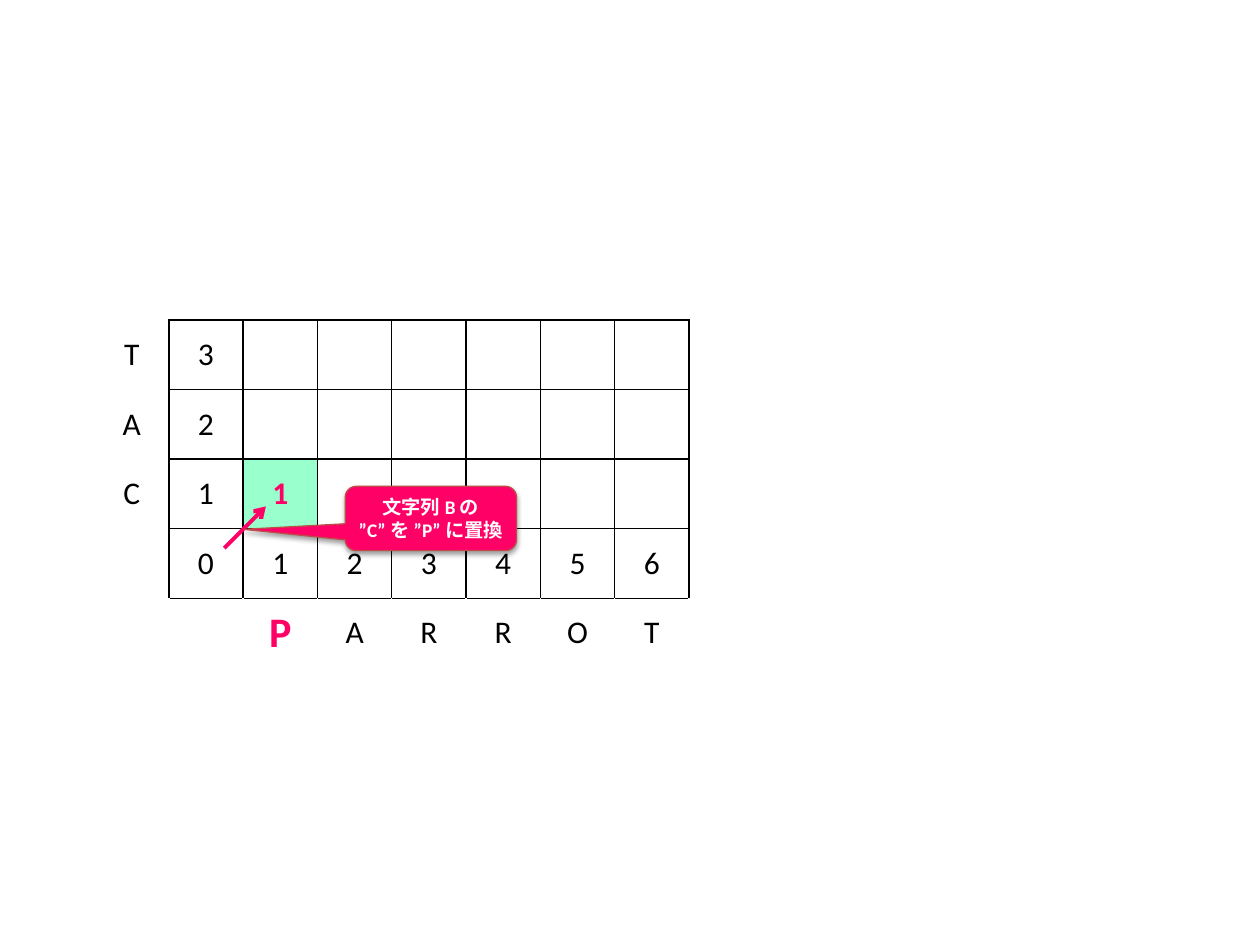
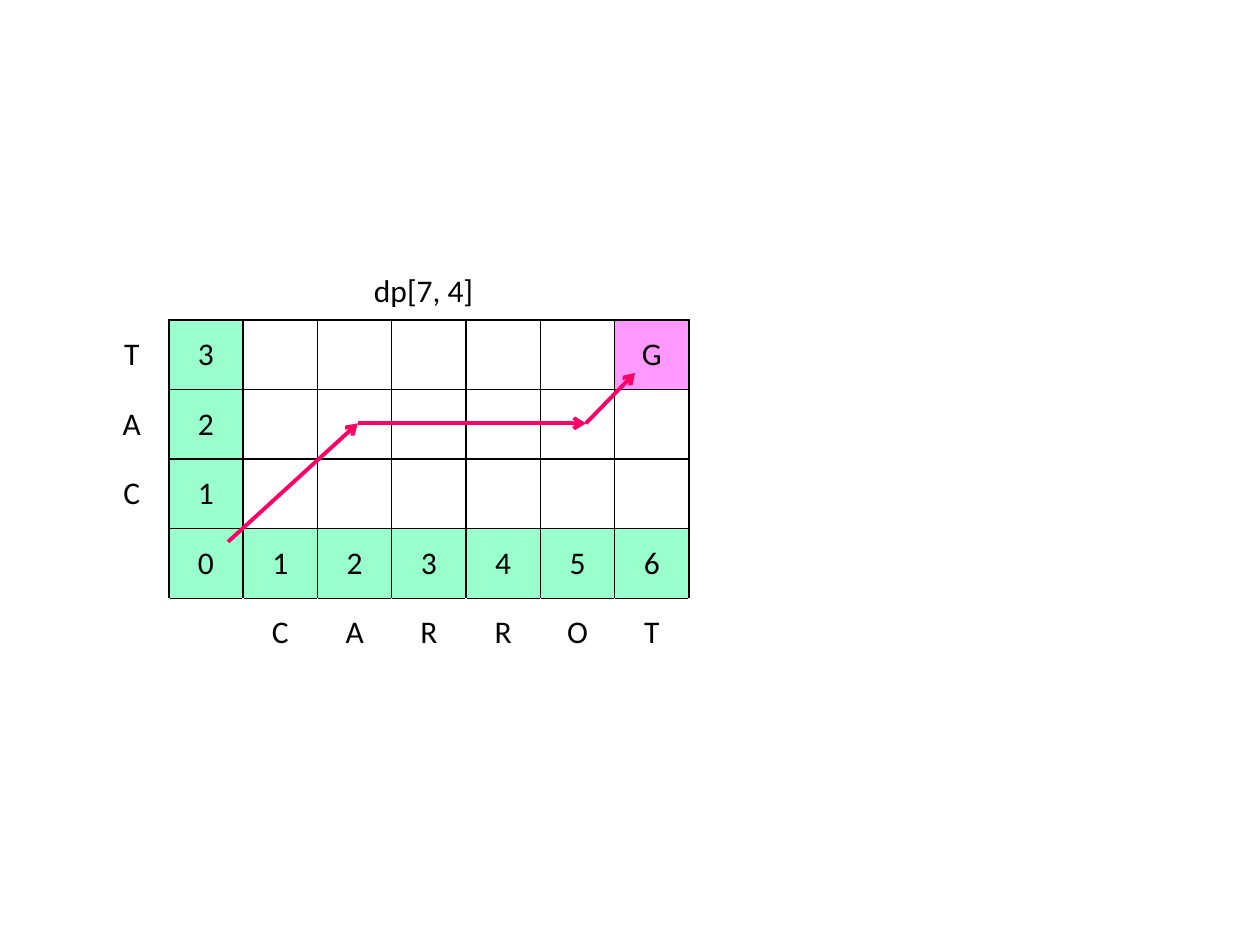
import pptx
import pptx.dml.color
import pptx.enum.shapes
import pptx.enum.text
import pptx.oxml.ns
import pptx.util
from lxml import etree

Inches = pptx.util.Inches
Pt = pptx.util.Pt
RGBColor = pptx.dml.color.RGBColor
ALIGN = pptx.enum.text.PP_ALIGN
ANCHOR = pptx.enum.text.MSO_ANCHOR
SHAPE = pptx.enum.shapes.MSO_SHAPE

BLACK = RGBColor(0x00, 0x00, 0x00)
WHITE = RGBColor(0xFF, 0xFF, 0xFF)
PINK = RGBColor(0xFF, 0x00, 0x66)
MINT = RGBColor(0x99, 0xFF, 0xCC)
VIOLET = RGBColor(0xFF, 0x99, 0xFF)
BRICK = RGBColor(0xBF, 0x4C, 0x48)

FONT = "Calibri"
TABLE_LEFT, TABLE_TOP = 0.75, 2.54
COLUMN_WIDTH, ROW_HEIGHT = 0.59, 2.76 / 5
SIDE_WORD = "CAT"
ZERO_ROW = len(SIDE_WORD)
LETTER_ROW = ZERO_ROW + 1


def add_element(parent, tag, **attributes):
    element = etree.SubElement(parent, pptx.oxml.ns.qn(tag))
    for name, value in attributes.items():
        element.set(name, str(value))
    return element


def write(text_frame, text, size=18, color=BLACK, bold=False, align=ALIGN.CENTER):
    """Fill the first paragraph; a newline becomes a line break."""
    paragraph = text_frame.paragraphs[0]
    paragraph.alignment = align
    for index, line in enumerate(text.split("\n")):
        if index:
            paragraph.add_line_break()
        run = paragraph.add_run()
        run.text = line
        run.font.name = FONT
        run.font.size = Pt(size)
        run.font.bold = bold
        run.font.color.rgb = color
        # Keeps quotation marks beside Japanese text at their narrow width
        add_element(run.font._element, "a:ea", typeface=FONT)


def set_borders(cell, colors):
    """Draw the borders, given in the order left, right, top, bottom."""
    properties = cell._tc.get_or_add_tcPr()
    for side, color in zip("LRTB", colors):
        line = add_element(properties, f"a:ln{side}", w=Pt(1))
        fill = add_element(line, "a:solidFill")
        add_element(fill, "a:srgbClr", val=color)


def grid_text(row, column, bottom_word):
    """Distances start at 0 in the corner and grow upwards and to the right."""
    if row == LETTER_ROW:
        return bottom_word[column - 2] if column > 1 else ""
    if row == ZERO_ROW:
        return str(column - 1) if column else ""
    if column == 0:
        return SIDE_WORD[ZERO_ROW - 1 - row]
    return str(ZERO_ROW - row) if column == 1 else ""


def border_colors(row, column):
    if row < LETTER_ROW and column > 0:
        return [BLACK] * 4
    right = BLACK if row < LETTER_ROW and column == 0 else WHITE
    top = BLACK if row == LETTER_ROW and column > 0 else WHITE
    return [WHITE, right, top, WHITE]


class DistanceDeck:
    def __init__(self):
        self.presentation = pptx.Presentation()
        self.presentation.slide_width = Inches(10)
        self.presentation.slide_height = Inches(7.5)
        self.slide = None

    def new_slide(self):
        blank_layout = self.presentation.slide_layouts[6]
        self.slide = self.presentation.slides.add_slide(blank_layout)

    def distance_table(self, bottom_word, fills, texts=None, formats=None):
        """The dictionaries are keyed by (row, column)."""
        texts, formats = texts or {}, formats or {}
        rows, columns = LETTER_ROW + 1, len(bottom_word) + 2
        table = self.slide.shapes.add_table(
            rows, columns, Inches(TABLE_LEFT), Inches(TABLE_TOP),
            Inches(columns * COLUMN_WIDTH), Inches(rows * ROW_HEIGHT)).table
        table.first_row = table.horz_banding = False
        for column in table.columns:
            column.width = Inches(COLUMN_WIDTH)
        for row in table.rows:
            row.height = Inches(ROW_HEIGHT)
        table.cell(ZERO_ROW, 0).merge(table.cell(LETTER_ROW, 0))
        for row in range(rows):
            for column in range(columns):
                place = (row, column)
                cell = table.cell(row, column)
                cell.vertical_anchor = ANCHOR.MIDDLE
                set_borders(cell, border_colors(row, column))
                if place in fills:
                    cell.fill.solid()
                    cell.fill.fore_color.rgb = fills[place]
                else:
                    cell.fill.background()
                text = texts.get(place, grid_text(row, column, bottom_word))
                if text:
                    write(cell.text_frame, text, **formats.get(place, {}))

    def arrow(self, start, end):
        connector = self.slide.shapes.add_connector(
            pptx.enum.shapes.MSO_CONNECTOR.STRAIGHT,
            *(Inches(length) for length in (*start, *end)))
        connector.line.color.rgb = PINK
        connector.line.width = Pt(2.25)
        add_element(connector.line._get_or_add_ln(), "a:tailEnd", type="arrow")
        add_element(connector._element.spPr, "a:effectLst")

    def callout(self, text, left, top, width, height, adjustments):
        shape = self.slide.shapes.add_shape(
            SHAPE.ROUNDED_RECTANGULAR_CALLOUT,
            Inches(left), Inches(top), Inches(width), Inches(height))
        for index, value in enumerate(adjustments):
            shape.adjustments[index] = value
        shape.fill.solid()
        shape.fill.fore_color.rgb = PINK
        shape.line.color.rgb = BRICK
        shape.line.width = Pt(0.75)
        effects = add_element(shape._element.spPr, "a:effectLst")
        shadow = add_element(effects, "a:outerShdw", blurRad=Pt(3.1),
                             dist=Pt(1.6), dir=90 * 60000, rotWithShape=0)
        color = add_element(shadow, "a:srgbClr", val=BLACK)
        add_element(color, "a:alpha", val=38000)
        frame = shape.text_frame
        frame.margin_left = frame.margin_right = 0
        frame.margin_top = frame.margin_bottom = 0
        frame.word_wrap = False
        frame.vertical_anchor = ANCHOR.MIDDLE
        write(frame, text, size=11, color=WHITE, bold=True)

    def label(self, text, left, top, width, height):
        frame = self.slide.shapes.add_textbox(
            Inches(left), Inches(top), Inches(width), Inches(height)).text_frame
        frame.word_wrap = True
        write(frame, text, align=ALIGN.LEFT)


def add_replacement_slide(deck):
    deck.new_slide()
    replaced, new_letter = (ZERO_ROW - 1, 2), (LETTER_ROW, 2)
    deck.distance_table(
        "PARROT", fills={replaced: MINT}, texts={replaced: "1"},
        formats={replaced: {"color": PINK, "bold": True},
                 new_letter: {"size": 24, "color": PINK, "bold": True}})
    deck.arrow((1.78, 4.35), (2.11, 4.02))
    deck.callout("文字列 B の\n”C” を ”P” に置換", 2.74, 3.86, 1.36, 0.51,
                 adjustments=(-1.09, 0.17, 0.17))


def add_shortest_route_slide(deck):
    deck.new_slide()
    goal = (0, 7)
    fills = {(row, 1): MINT for row in range(ZERO_ROW)}
    fills.update({(ZERO_ROW, column): MINT for column in range(1, 8)})
    fills[goal] = VIOLET
    deck.distance_table("CARROT", fills, texts={goal: "G"})
    deck.label("dp[7, 4]", 2.87, 2.1, 1.34, 0.4)
    route = [(1.81, 4.3), (2.84, 3.36), (4.65, 3.36), (5.04, 2.96)]
    for start, end in zip(route, route[1:]):
        deck.arrow(start, end)


def main():
    deck = DistanceDeck()
    add_replacement_slide(deck)
    add_shortest_route_slide(deck)
    deck.presentation.save("out.pptx")


if __name__ == "__main__":
    main()
